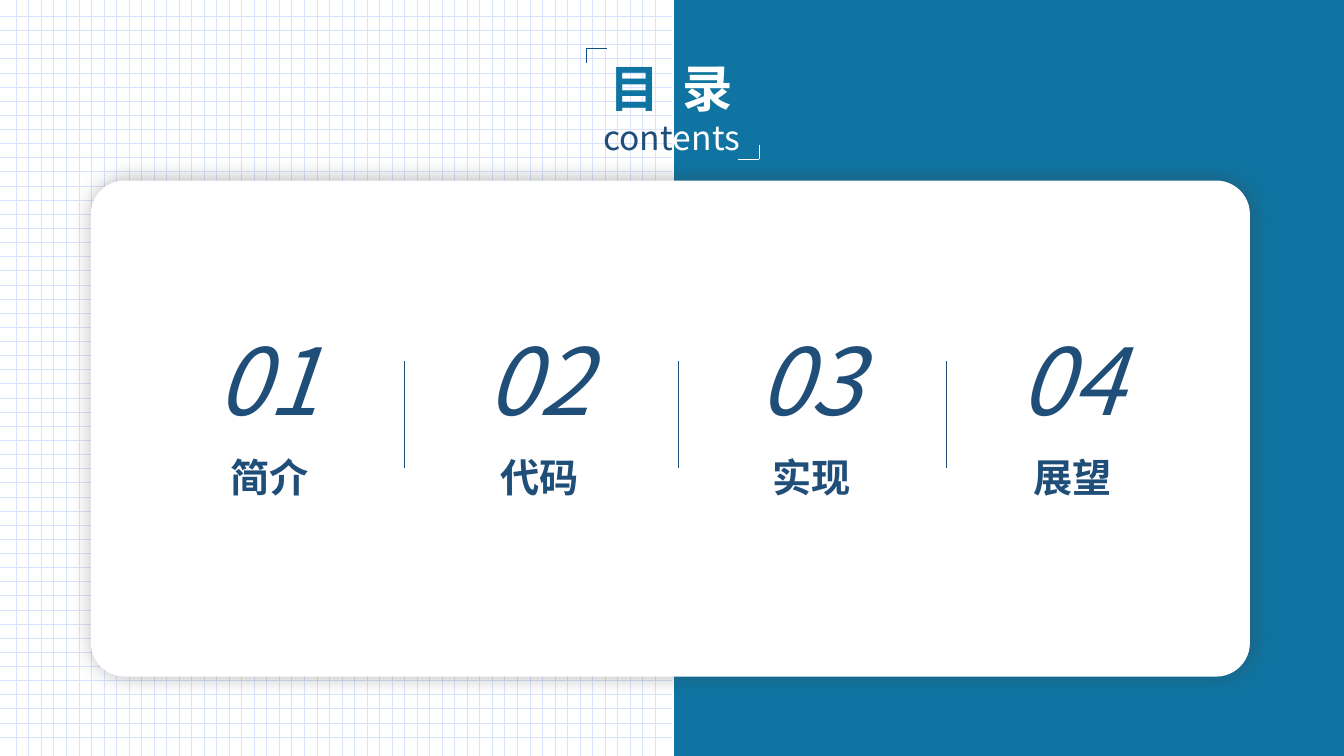
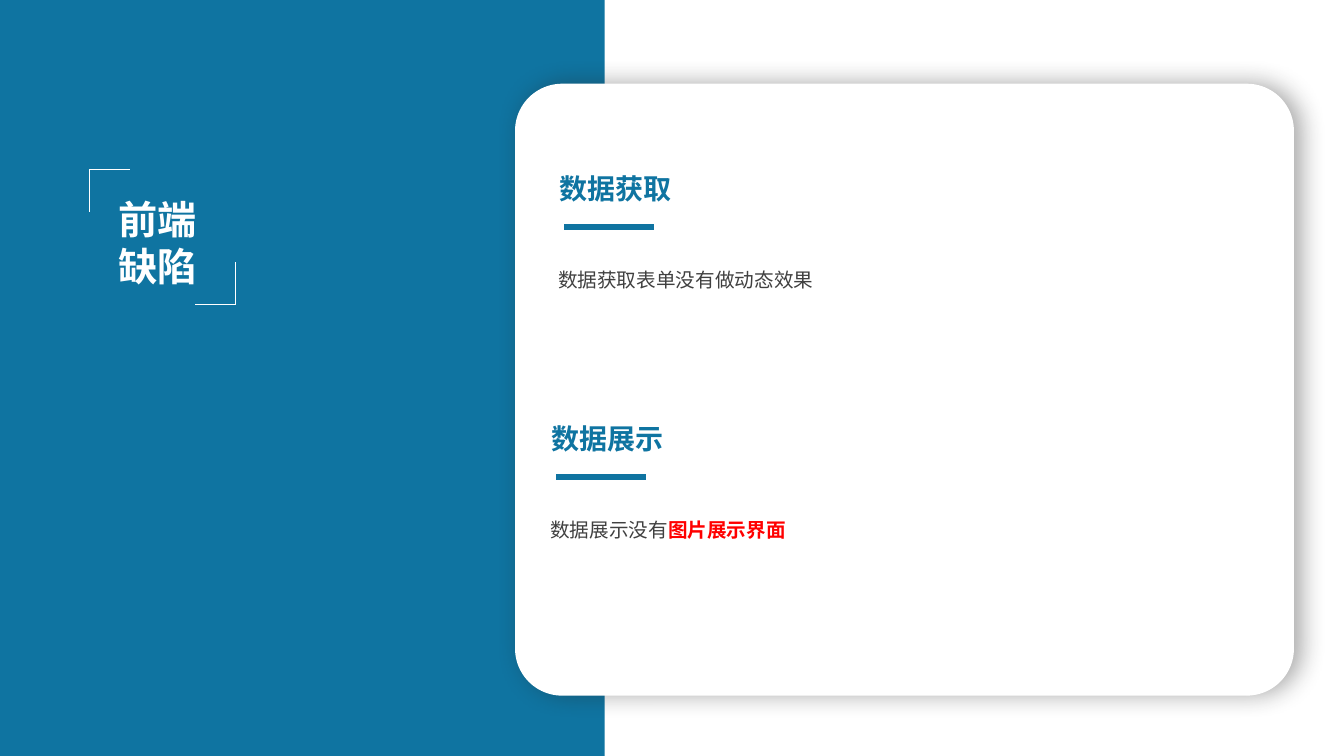
from lxml.etree import SubElement
from pptx import Presentation
from pptx.dml.color import RGBColor
from pptx.enum.shapes import MSO_CONNECTOR, MSO_SHAPE
from pptx.enum.text import MSO_ANCHOR, MSO_AUTO_SIZE, PP_ALIGN
from pptx.oxml.ns import qn
from pptx.util import Cm, Pt

FONT = "Noto Sans CJK SC"
BLUE = RGBColor(0x0F, 0x74, 0xA1)
NAVY = RGBColor(0x1F, 0x4E, 0x79)
BRACKET_BLUE = RGBColor(0x0D, 0x4E, 0x81)
GRID_BLUE = RGBColor(0xD9, 0xE3, 0xFF)
WHITE = RGBColor(0xFF, 0xFF, 0xFF)
GREY = RGBColor(0x40, 0x40, 0x40)
RED = RGBColor(0xFF, 0x00, 0x00)

SLIDE_W, SLIDE_H = 33.87, 19.05
TITLE_ONLY, COMPARISON = 5, 4
GRID_LINES = 52


def add_line(shapes, x1, y1, x2, y2, color, width=0.5):
    line = shapes.add_connector(MSO_CONNECTOR.STRAIGHT, Cm(x1), Cm(y1), Cm(x2), Cm(y2))
    line.line.color.rgb = color
    line.line.width = Pt(width)
    SubElement(line._element.spPr, qn("a:effectLst"))


def add_block(s, kind, box, color):
    sp = s.shapes.add_shape(kind, *map(Cm, box))
    sp.shadow.inherit = False
    sp.fill.solid()
    sp.fill.fore_color.rgb = color
    sp.line.fill.background()
    return sp


def add_card(s, box, radius, shadow_color, blur, dist):
    """Add a white rounded card with a soft shadow to the right."""
    sp = add_block(s, MSO_SHAPE.ROUNDED_RECTANGLE, box, WHITE)
    sp.adjustments[0] = radius
    effects = sp._element.spPr.find(qn("a:effectLst"))
    shadow = SubElement(effects, qn("a:outerShdw"), blurRad=str(Pt(blur)),
                        dist=str(Pt(dist)), dir="0", algn="ctr", rotWithShape="0")
    color = SubElement(shadow, qn("a:srgbClr"), val=str(shadow_color))
    SubElement(color, qn("a:alpha"), val="40000")


def add_run(p, text, size, color, bold=False, italic=False):
    r = p.add_run()
    r.text = text
    r.font.size = Pt(size)
    r.font.bold = bold
    r.font.italic = italic
    r.font.name = FONT
    r.font.color.rgb = color
    SubElement(r._r.get_or_add_rPr(), qn("a:ea"), typeface=FONT)
    return r


def add_paragraph(tf, index, align=PP_ALIGN.LEFT):
    """Return an unbulleted paragraph, reusing the first one of the frame."""
    p = tf.paragraphs[0] if index == 0 else tf.add_paragraph()
    pPr = p._p.get_or_add_pPr()
    pPr.set("marL", "0")
    pPr.set("indent", "0")
    SubElement(pPr, qn("a:buNone"))
    p.alignment = align
    p.space_before = Pt(0)
    return p


def place(sp, box):
    """Move a placeholder or text box to the box, in front, and return its frame."""
    sp.left, sp.top, sp.width, sp.height = map(Cm, box)
    sp._element.getparent().append(sp._element)
    tf = sp.text_frame
    tf.word_wrap = True
    tf.auto_size = MSO_AUTO_SIZE.NONE
    tf.vertical_anchor = MSO_ANCHOR.TOP
    return tf


def add_text(s, box, text, size, align=PP_ALIGN.LEFT, **style):
    tf = place(s.shapes.add_textbox(0, 0, 0, 0), box)
    add_run(add_paragraph(tf, 0, align), text, size, NAVY, **style)


def add_brackets(s, left, top, right, bottom, arm_w, arm_h, colors):
    """Frame an area by its top-left and bottom-right corners."""
    corners = ((left, top, 1), (right, bottom, -1))
    for (x, y, way), color in zip(corners, colors):
        shapes = s.shapes.add_group_shape().shapes
        add_line(shapes, x, y, x + way * arm_w, y, color)
        add_line(shapes, x, y, x, y + way * arm_h, color)


def add_grid(s, first, last_x, last_y, width):
    shapes = s.shapes.add_group_shape().shapes
    for i in range(GRID_LINES):
        part = i / (GRID_LINES - 1)
        y = first + part * (last_y - first)
        add_line(shapes, 0, y, width, y, GRID_BLUE, 0.25)
    for i in range(GRID_LINES):
        x = first + i / (GRID_LINES - 1) * (last_x - first)
        add_line(shapes, x, 0, x, SLIDE_H, GRID_BLUE, 0.5)


def add_entry(s, x, y, number, label):
    add_text(s, (x, y, 5.54, 3.07), number, 66, italic=True)
    add_text(s, (x - 2.62, y + 3.27, 8.41, 1.45), label, 28, PP_ALIGN.CENTER, bold=True)


def contents_slide(prs, entries):
    s = prs.slides.add_slide(prs.slide_layouts[TITLE_ONLY])
    add_grid(s, 0.41, 16.51, 18.57, 16.94)
    band_x = 16.99
    add_block(s, MSO_SHAPE.RECTANGLE, (band_x, 0, SLIDE_W - band_x, SLIDE_H), BLUE)
    card = left, top, _, _ = 2.29, 4.55, 29.21, 12.5
    add_card(s, card, 0.068, GREY, 15, 2)

    tf = place(s.shapes.title, (11.58, 1.3, 10.69, 2.82))
    p = add_paragraph(tf, 0, PP_ALIGN.CENTER)
    r = add_run(p, "目 ", 36, BLUE, bold=True)
    r._r.get_or_add_rPr().set("spc", "400")
    add_run(p, "录", 36, WHITE, bold=True)
    p = add_paragraph(tf, 1, PP_ALIGN.CENTER)
    add_run(p, "cont", 24, NAVY)
    add_run(p, "ents", 24, WHITE)
    add_brackets(s, 14.78, 1.22, 19.13, 4.02, 0.52, 0.37, (BRACKET_BLUE, WHITE))

    for i, (dx, label) in enumerate(entries, 1):
        add_entry(s, left + dx, top + 3.48, f"{i:02d}", label)
    for dx in (7.9, 14.8, 21.56):
        add_line(s.shapes, left + dx, top + 4.54, left + dx, top + 7.24, NAVY)


def add_section(s, x, y, heading_sp, body_sp, heading, runs):
    """Fill a heading and body placeholder, with a thick rule between them."""
    tf = place(heading_sp, (x, y, 8.36, 1.12))
    add_run(add_paragraph(tf, 0), heading, 20, BLUE, bold=True)
    add_line(s.shapes, x + 0.38, y + 1.53, x + 2.63, y + 1.53, BLUE, 4.5)
    tf = place(body_sp, (x - 0.03, y + 2.15, 16.76, 1.14))
    p = add_paragraph(tf, 0)
    p.line_spacing = Pt(25)
    for text, color, bold in runs:
        add_run(p, text, 14, color, bold)


def defects_slide(prs, title_lines, sections):
    s = prs.slides.add_slide(prs.slide_layouts[COMPARISON])
    add_block(s, MSO_SHAPE.RECTANGLE, (0, 0, 15.24, SLIDE_H), BLUE)
    card = left, top, _, _ = 12.98, 2.11, 19.63, 15.42
    add_card(s, card, 0.077, RGBColor(0x26, 0x26, 0x26), 18, 5)

    tf = place(s.shapes.title, (2.74, 4.8, 8.36, 2.64))
    for i, text in enumerate(title_lines):
        add_run(add_paragraph(tf, i), text, 28, WHITE, bold=True)
    add_brackets(s, 2.24, 4.27, 5.94, 7.67, 1.03, 1.06, (WHITE, WHITE))

    holders = {sp.placeholder_format.idx: sp for sp in s.placeholders}
    for i, (dx, dy, heading, runs) in enumerate(sections):
        add_section(s, left + dx, top + dy, holders[2 * i + 1], holders[2 * i + 2],
                    heading, runs)


def main():
    prs = Presentation()
    prs.slide_width, prs.slide_height = Cm(SLIDE_W), Cm(SLIDE_H)
    contents_slide(prs, [(2.91, "简介"), (9.73, "代码"), (16.58, "实现"), (23.16, "展望")])
    defects_slide(prs, ["前端", "缺陷"], [
        (0.86, 2.08, "数据获取", [("数据获取表单没有做动态效果", GREY, False)]),
        (0.66, 8.38, "数据展示", [("数据展示没有", GREY, False),
                              ("图片展示界面", RED, True)]),
    ])
    prs.save("out.pptx")


if __name__ == "__main__":
    main()
